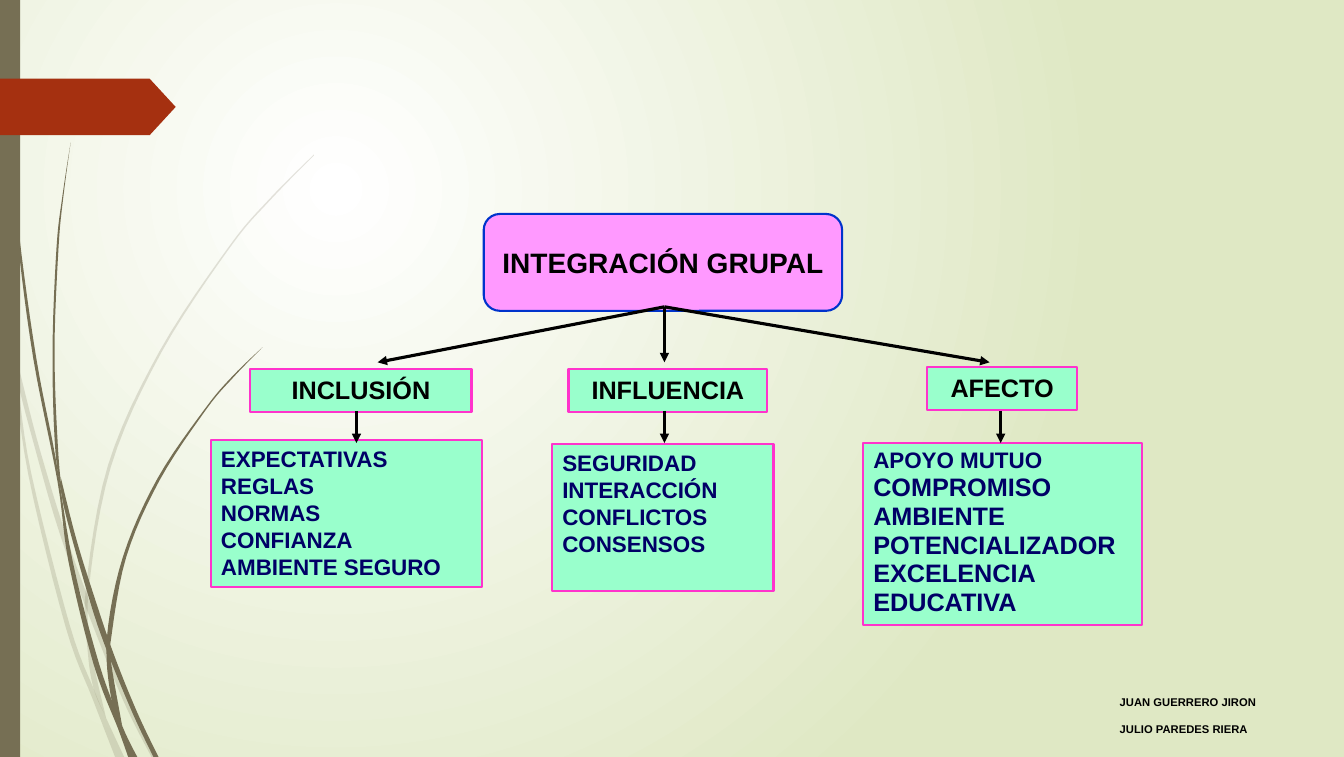
import pptx
import pptx.util
import pptx.dml.color
import pptx.enum.dml
import pptx.enum.shapes
import pptx.enum.text
import pptx.oxml
import pptx.oxml.ns
from lxml import etree


def color(value):
    return pptx.dml.color.RGBColor.from_string(value)


def smooth(points, steps=6):
    padded = [points[0], *points, points[-1]]
    curve = []
    for before, start, end, after in zip(padded, padded[1:], padded[2:], padded[3:]):
        for step in range(steps):
            t = step / steps
            curve.append(tuple(
                (2 * b + (c - a) * t + (2 * a - 5 * b + 4 * c - d) * t ** 2
                 + (3 * b - a - 3 * c + d) * t ** 3) / 2 * cell
                for a, b, c, d in zip(before, start, end, after)))
    return curve + [(points[-1][0] * cell, points[-1][1] * cell)]


qn = pptx.oxml.ns.qn
shape_types = pptx.enum.shapes.MSO_SHAPE
anchors = pptx.enum.text.MSO_ANCHOR
alignments = pptx.enum.text.PP_ALIGN
cell = pptx.util.Inches(1)
olive, red, mint, pink, navy, black = "766F54", "A53010", "99FFCC", "FF33CC", "000066", "000000"

presentation = pptx.Presentation()
presentation.slide_width = int(13.31 * cell)
presentation.slide_height = int(7.5 * cell)
slide = presentation.slides.add_slide(presentation.slide_layouts[6])
shapes = slide.shapes

background = slide.background.fill
background.gradient()
for stop, value in zip(background.gradient_stops, ("FFFFFF", "DFE8C4")):
    stop.color.rgb = color(value)
gradient = slide.element.find(".//" + qn("a:gradFill"))
gradient.remove(gradient.find(qn("a:lin")))
circle = etree.SubElement(gradient, qn("a:path"), path="circle")
etree.SubElement(circle, qn("a:fillToRect"), l="50000", t="50000", r="100000", b="100000")

stalks = [
    (20, [(0, 2.99), (0.11, 3.5), (0.28, 4.7), (0.65, 6.21), (0.92, 6.93), (1.14, 7.5)],
     [(0, 2.82), (0.08, 3.22), (0.17, 3.76), (0.31, 4.69), (0.69, 6.19), (0.93, 6.83),
      (1.05, 7.11), (1.23, 7.5)]),
    (20, [(0.14, 3.45), (0.17, 3.76), (0.36, 4.49), (0.57, 5.22), (0.84, 5.99), (1.22, 6.94), (1.5, 7.5)],
     [(0.14, 3.45), (0.36, 4.33), (0.62, 5.2), (0.85, 5.86), (1.27, 6.92), (1.55, 7.5)]),
    (20, [(3.11, 1.53), (2.67, 1.97), (2.27, 2.44), (1.58, 3.48), (1.07, 4.61), (0.85, 5.84),
          (0.87, 6.46), (0.93, 6.83), (1.05, 7.11)],
     [(3.11, 1.54), (2.68, 1.98), (2.28, 2.45), (1.6, 3.49), (1.1, 4.62), (0.88, 5.84),
      (0.91, 6.46), (1.05, 7.11)]),
    (100, [(0.03, 0), (0.07, 1.1), (0.17, 2.33), (0.33, 3.55), (0.57, 4.77), (0.68, 5.57),
           (0.93, 6.59), (1.17, 7.22), (1.27, 7.5)],
     [(0.03, 0), (0.08, 1.09), (0.19, 2.32), (0.36, 3.55), (0.55, 4.53), (0.72, 5.56),
      (0.98, 6.57), (1.21, 7.19), (1.36, 7.5)]),
    (100, [(0.6, 4.72), (0.64, 5.05), (0.88, 5.92), (1.06, 6.45), (1.32, 7.08), (1.52, 7.5)],
     [(0.6, 4.72), (0.75, 5.32), (0.93, 5.9), (1.13, 6.49), (1.36, 7.06), (1.57, 7.5)]),
    (100, [(0.7, 1.41), (0.62, 1.93), (0.56, 2.45), (0.52, 3.49), (0.55, 4.49), (0.64, 5.05)],
     [(0.7, 1.41), (0.63, 1.93), (0.58, 2.45), (0.54, 3.49), (0.58, 4.53), (0.64, 5.05)]),
    (100, [(2.6, 3.44), (2.3, 3.73), (2.03, 4.05), (1.56, 4.74), (1.22, 5.51), (1.06, 6.31),
           (1.1, 6.91), (1.21, 7.19)],
     [(2.6, 3.44), (2.31, 3.74), (2.04, 4.06), (1.58, 4.76), (1.25, 5.52), (1.1, 6.33),
      (1.1, 6.56), (1.21, 7.19)]),
]
for opacity, left_edge, right_edge in stalks:
    outline = smooth(left_edge) + smooth(right_edge)[::-1]
    builder = shapes.build_freeform(*outline[0], scale=1.0)
    builder.add_line_segments(outline[1:], close=True)
    stalk = builder.convert_to_shape()
    stalk.shadow.inherit = False
    stalk.fill.solid()
    stalk.fill.fore_color.rgb = color(olive)
    stalk.line.fill.background()
    fill_color = stalk.element.spPr.find(".//" + qn("a:srgbClr"))
    etree.SubElement(fill_color, qn("a:alpha"), val=str(opacity * 1000))

top, middle = anchors.TOP, anchors.MIDDLE
center, justify = alignments.CENTER, alignments.JUSTIFY
rectangle = shape_types.RECTANGLE
boxes = [
    (rectangle, (0, 0, 0.2, 7.5), olive, None, top, center, black, []),
    (shape_types.PENTAGON, (0, 0.78, 1.74, 0.56), red, None, top, center, black, []),
    (rectangle, (2.48, 3.66, 2.19, 0.42), mint, pink, top, center, black, [("INCLUSIÓN", 18)]),
    (rectangle, (5.63, 3.66, 1.97, 0.42), mint, pink, top, center, black, [("INFLUENCIA", 18)]),
    (rectangle, (9.18, 3.64, 1.49, 0.42), mint, pink, top, center, black, [("AFECTO", 18)]),
    (rectangle, (2.09, 4.36, 2.68, 1.46), mint, pink, top, justify, navy,
     [("EXPECTATIVAS", 16), ("REGLAS", 16), ("NORMAS", 16), ("CONFIANZA", 16), ("AMBIENTE SEGURO", 16)]),
    (rectangle, (5.47, 4.4, 2.19, 1.46), mint, pink, top, justify, navy,
     [("SEGURIDAD INTERACCIÓN", 16), ("CONFLICTOS", 16), ("CONSENSOS", 16)]),
    (rectangle, (8.55, 4.39, 2.76, 1.8), mint, pink, top, justify, navy,
     [("APOYO MUTUO", 16), ("COMPROMISO", 18), ("AMBIENTE POTENCIALIZADOR", 18), ("EXCELENCIA EDUCATIVA", 18)]),
    (shape_types.ROUNDED_RECTANGLE, (4.79, 2.12, 3.55, 0.96), "FF99FF", "0033CC", middle, center, black,
     [("INTEGRACIÓN GRUPAL", 20)]),
    (None, (10.99, 6.99, 2.13, 0.35), None, None, anchors.BOTTOM, alignments.LEFT, black,
     [("JUAN GUERRERO JIRON", 8), ("JULIO PAREDES RIERA", 8)]),
]
for kind, place, fill, border, anchor, alignment, ink, lines in boxes:
    bounds = [int(length * cell) for length in place]
    if kind is None:
        box = shapes.add_textbox(*bounds)
    else:
        box = shapes.add_shape(kind, *bounds)
        box.shadow.inherit = False
        box.fill.solid()
        box.fill.fore_color.rgb = color(fill)
        if border:
            box.line.color.rgb = color(border)
            box.line.width = pptx.util.Pt(1.5)
        else:
            box.line.fill.background()
    if kind == shape_types.PENTAGON:
        box.adjustments[0] = 0.46
    frame = box.text_frame
    frame.word_wrap = kind != shape_types.ROUNDED_RECTANGLE
    frame.vertical_anchor = anchor
    if not lines:
        continue
    frame.text = "\n".join(text for text, size in lines)
    for index, (paragraph, (text, size)) in enumerate(zip(frame.paragraphs, lines)):
        paragraph.alignment = alignment
        if kind is None and index:
            paragraph.space_before = pptx.util.Pt(10)
        if lines[0][0] == "APOYO MUTUO":
            paragraph.line_spacing = 0.95
        font = paragraph.runs[0].font
        font.name = "Arial"
        font.size = pptx.util.Pt(size)
        font.bold = True
        font.color.rgb = color(ink)

arrows = [((x, 4.07), (x, 4.39)) for x in (3.53, 6.58, 9.91)]
arrows += [((6.58, 3.04), (x, 3.59)) for x in (3.74, 9.8, 6.58)]
for start, end in arrows:
    ends = [int(length * cell) for length in start + end]
    arrow = shapes.add_connector(pptx.enum.shapes.MSO_CONNECTOR.STRAIGHT, *ends)
    arrow.line.color.rgb = color(black)
    arrow.line.width = pptx.util.Pt(2.25)
    properties = arrow.element.spPr
    etree.SubElement(properties.find(qn("a:ln")), qn("a:tailEnd"), type="triangle")
    etree.SubElement(properties, qn("a:effectLst"))

presentation.save("out.pptx")
